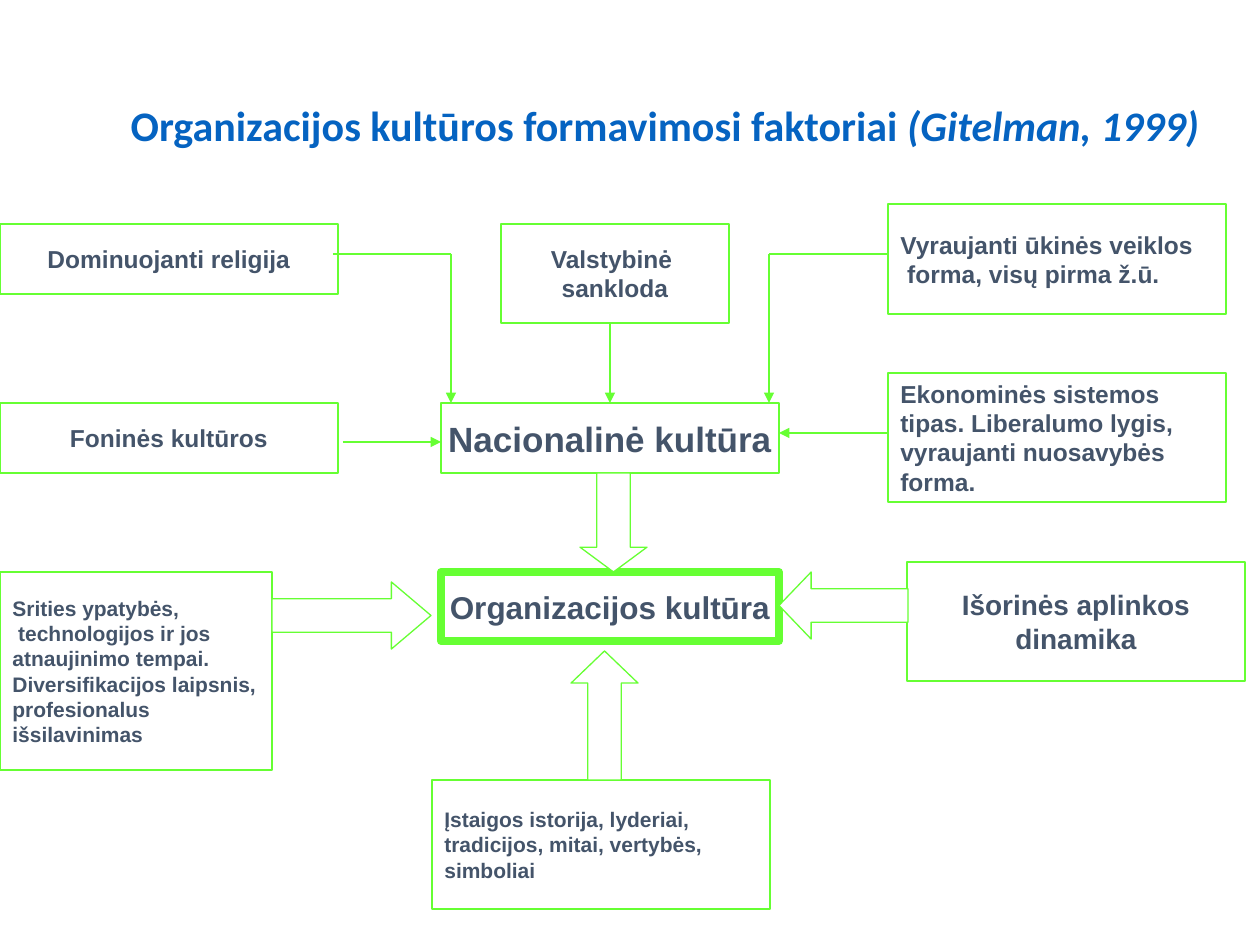
from lxml.etree import SubElement
from pptx import Presentation
from pptx.dml.color import RGBColor
from pptx.enum.shapes import MSO_CONNECTOR, MSO_SHAPE
from pptx.enum.text import MSO_ANCHOR, MSO_AUTO_SIZE, PP_ALIGN
from pptx.oxml.ns import qn
from pptx.util import Pt

PX_PER_INCH = 126
EMU_PER_PX = 914400 / PX_PER_INCH
COLORS = {"title": "0563C1", "text": "44546A", "line": "66FF33", "fill": "FFFFFF"}
CENTER, LEFT = PP_ALIGN.CENTER, PP_ALIGN.LEFT

BOXES = {
    "national": ((441, 403, 338, 70), 20, CENTER, 0.75, ["Nacionalinė kultūra"]),
    "organization": ((441, 572, 338, 69), 18, CENTER, 4.5, ["Organizacijos kultūra"]),
    "field": ((0, 572, 272, 198), 12, LEFT, 0.75, [
        "Srities ypatybės,", " technologijos ir jos", "atnaujinimo tempai.",
        "Diversifikacijos laipsnis,", "profesionalus", "išsilavinimas"]),
    "history": ((432, 780, 338, 129), 12, LEFT, 0.75, [
        "Įstaigos istorija, lyderiai,", "tradicijos, mitai, vertybės,", "simboliai"]),
    "environment": ((907, 562, 338, 119), 16, CENTER, 0.75, ["Išorinės aplinkos", "dinamika"]),
    "background": ((0, 403, 338, 70), 14, CENTER, 0.75, ["Foninės kultūros"]),
    "religion": ((0, 224, 338, 70), 14, CENTER, 0.75, ["Dominuojanti religija"]),
    "state": ((501, 224, 228, 99), 14, CENTER, 0.75, ["Valstybinė ", "sankloda"]),
    "economy": ((888, 204, 338, 110), 14, LEFT, 0.75, [
        "Vyraujanti ūkinės veiklos", " forma, visų pirma ž.ū."]),
    "system": ((888, 373, 338, 129), 14, LEFT, 0.75, [
        "Ekonominės sistemos", "tipas. Liberalumo lygis,", "vyraujanti nuosavybės", "forma."]),
}

BLOCK_ARROWS = [
    (MSO_SHAPE.DOWN_ARROW, (580, 473, 67, 99), 0.37),
    (MSO_SHAPE.RIGHT_ARROW, (272, 582, 159, 67), 0.59),
    (MSO_SHAPE.UP_ARROW, (571, 651, 67, 129), 0.48),
    (MSO_SHAPE.LEFT_ARROW, (779, 572, 129, 67), 0.48),
]

LINES = [
    ((343, 442), (441, 442), True),
    ((888, 433), (779, 433), True),
    ((333, 254), (451, 254), False),
    ((451, 254), (451, 403), True),
    ((888, 254), (769, 254), False),
    ((769, 254), (769, 403), True),
]


def emu(*lengths):
    return [round(length * EMU_PER_PX) for length in lengths]


def color(name):
    return RGBColor.from_string(COLORS[name])


def set_font(para, name, size, color_name):
    para.font.name = name
    para.font.size = Pt(size)
    para.font.bold = True
    para.font.color.rgb = color(color_name)


def add_title(page, plain, italic):
    title = page.shapes.title
    title.left, title.top, title.width, title.height = emu(118, 76, 1142, 103)
    frame = title.text_frame
    frame.word_wrap = True
    frame.auto_size = MSO_AUTO_SIZE.NONE
    frame.vertical_anchor = MSO_ANCHOR.MIDDLE
    para = frame.paragraphs[0]
    para.alignment = LEFT
    para.line_spacing = 0.9
    set_font(para, "Calibri", 24, "title")
    para.add_run().text = plain
    span = para.add_run()
    span.text = italic
    span.font.italic = True


def add_outlined(page, kind, bounds, weight):
    shape = page.shapes.add_shape(kind, *emu(*bounds))
    shape.shadow.inherit = False
    shape.fill.solid()
    shape.fill.fore_color.rgb = color("fill")
    shape.line.color.rgb = color("line")
    shape.line.width = Pt(weight)
    return shape


def add_box(page, bounds, size, alignment, weight, lines):
    box = add_outlined(page, MSO_SHAPE.RECTANGLE, bounds, weight)
    frame = box.text_frame
    frame.word_wrap = False
    frame.vertical_anchor = MSO_ANCHOR.MIDDLE
    for index, line in enumerate(lines):
        para = frame.add_paragraph() if index else frame.paragraphs[0]
        para.text = line
        para.alignment = alignment
        set_font(para, "Arial", size, "text")
    return box


def add_block_arrow(page, kind, bounds, head):
    arrow = add_outlined(page, kind, bounds, 0.75)
    arrow.adjustments[0] = 0.5
    arrow.adjustments[1] = head


def add_line(page, start, end, has_head):
    line = page.shapes.add_connector(MSO_CONNECTOR.STRAIGHT, *emu(*start, *end))
    line.line.color.rgb = color("line")
    line.line.width = Pt(0.75)
    if has_head:
        SubElement(line.line._get_or_add_ln(), qn("a:tailEnd"), type="triangle")
    SubElement(line._element.spPr, qn("a:effectLst"))
    return line


def main():
    deck = Presentation()
    deck.slide_width, deck.slide_height = emu(1260, 945)
    page = deck.slides.add_slide(deck.slide_layouts[5])
    add_title(page, "Organizacijos kultūros formavimosi faktoriai ", "(Gitelman, 1999)")
    boxes = {name: add_box(page, *details) for name, details in BOXES.items()}
    for details in BLOCK_ARROWS:
        add_block_arrow(page, *details)
    for details in LINES:
        add_line(page, *details)
    state_line = add_line(page, (610, 323), (610, 403), True)
    state_line.end_connect(boxes["national"], 0)
    deck.save("out.pptx")


if __name__ == "__main__":
    main()
